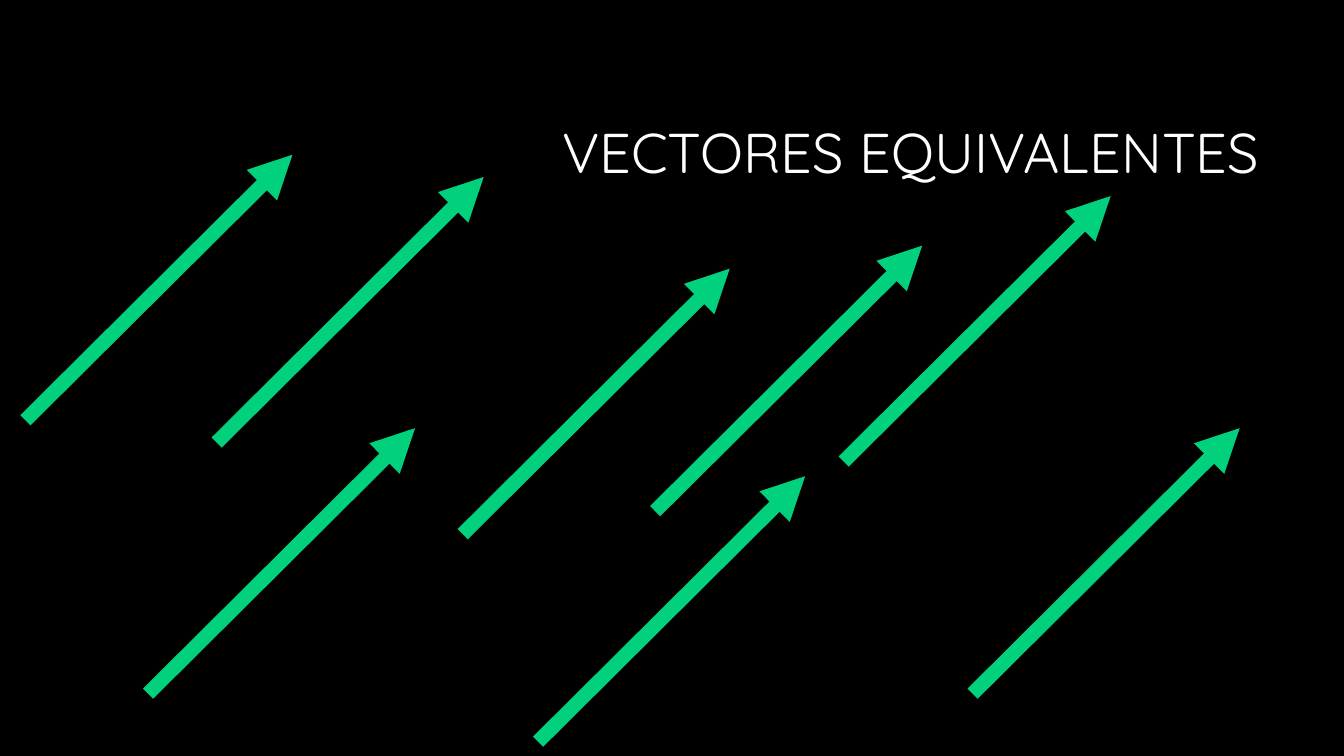
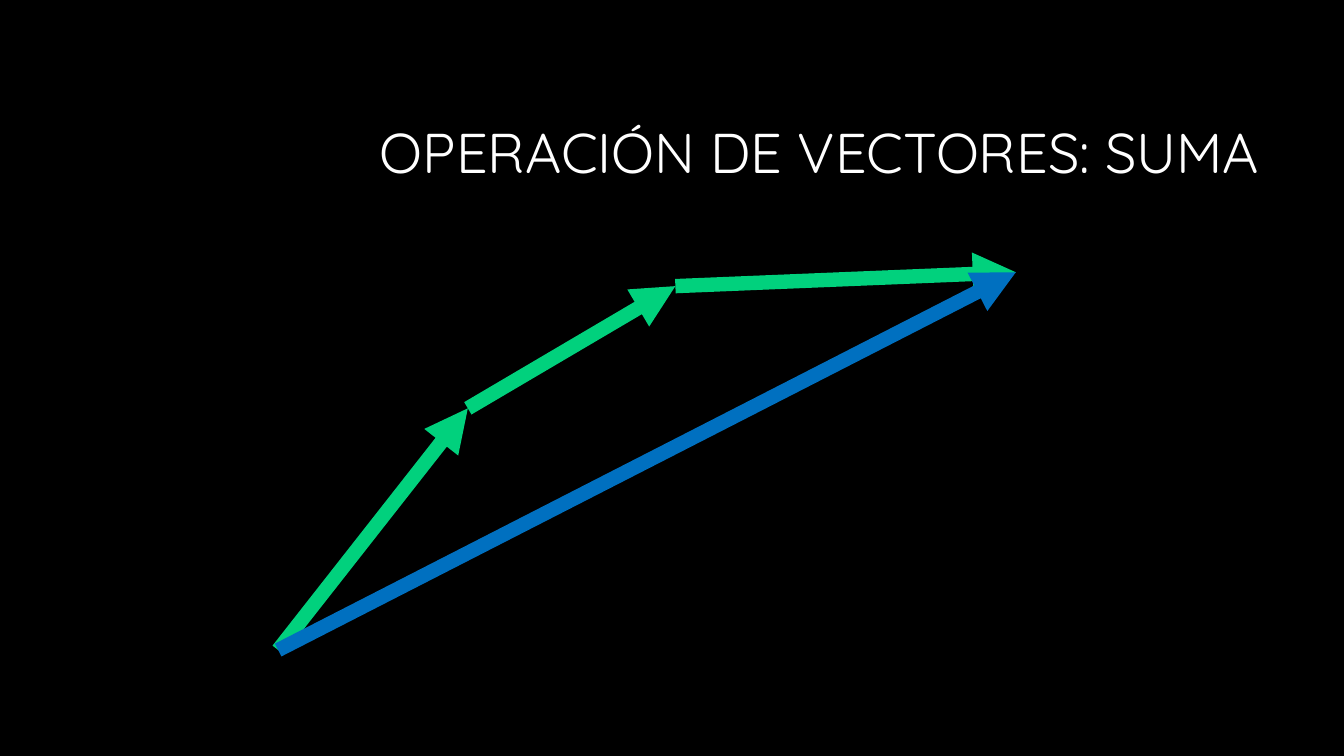
from dataclasses import dataclass
from itertools import pairwise

from lxml.etree import SubElement
from pptx import Presentation
from pptx.dml.color import RGBColor
from pptx.enum.shapes import MSO_CONNECTOR
from pptx.enum.text import MSO_ANCHOR, PP_ALIGN
from pptx.oxml.ns import qn
from pptx.util import Cm, Pt


@dataclass(frozen=True)
class Theme:
    background: RGBColor = RGBColor(0x00, 0x00, 0x00)
    text: RGBColor = RGBColor(0xFF, 0xFF, 0xFF)
    vector: RGBColor = RGBColor(0x01, 0xD1, 0x7D)
    resultant: RGBColor = RGBColor(0x00, 0x70, 0xC0)
    font: str = "Quicksand"
    title_size: Pt = Pt(40)
    line_width: Pt = Pt(10.25)


THEME = Theme()
TITLE_FORMAT = {"name": THEME.font, "size": THEME.title_size}

# All positions are (x, y) in centimetres.
PAGE_SIZE = (33.87, 19.05)
TITLE_BOX = (8.05, 2.13, 23.93, 3.58)

EQUIVALENT_TITLE = "VECTORES EQUIVALENTES"
EQUIVALENT_VECTOR = (6.73, -6.69)
EQUIVALENT_STARTS = [
    (3.73, 17.48), (5.46, 11.15), (0.64, 10.59), (13.56, 18.69),
    (21.26, 11.63), (11.66, 13.46), (24.51, 17.48), (16.51, 12.88),
]

SUM_TITLE = "OPERACIÓN DE VECTORES: SUMA"
SUM_POINTS = [(7.01, 16.38), (11.79, 10.29), (17.02, 7.21), (25.6, 6.86)]


def add_page(deck, title):
    page = deck.slides.add_slide(deck.slide_layouts[6])
    box = page.shapes.add_textbox(*map(Cm, TITLE_BOX))
    frame = box.text_frame
    frame.word_wrap = True
    frame.vertical_anchor = MSO_ANCHOR.MIDDLE
    para = frame.paragraphs[0]
    para.alignment = PP_ALIGN.RIGHT
    para.line_spacing = 0.9
    span = para.add_run()
    span.text = title
    for attribute, value in TITLE_FORMAT.items():
        setattr(span.font, attribute, value)
    span.font.color.rgb = THEME.text
    return page


def add_vector(page, start, end, color=THEME.vector):
    """Draw a shadowless arrow with its head at end."""
    arrow = page.shapes.add_connector(
        MSO_CONNECTOR.STRAIGHT, *map(Cm, (*start, *end)))
    arrow.line.width = THEME.line_width
    arrow.line.color.rgb = color
    SubElement(arrow.line._get_or_add_ln(), qn("a:tailEnd"), type="triangle")
    SubElement(arrow._element.spPr, qn("a:effectLst"))


def build_equivalent_vectors(deck):
    page = add_page(deck, EQUIVALENT_TITLE)
    dx, dy = EQUIVALENT_VECTOR
    for x, y in EQUIVALENT_STARTS:
        add_vector(page, (x, y), (x + dx, y + dy))


def build_vector_sum(deck):
    page = add_page(deck, SUM_TITLE)
    for start, end in pairwise(SUM_POINTS):
        add_vector(page, start, end)
    add_vector(page, SUM_POINTS[0], SUM_POINTS[-1], THEME.resultant)


def main():
    deck = Presentation()
    deck.slide_width, deck.slide_height = map(Cm, PAGE_SIZE)
    fill = deck.slide_master.background.fill
    fill.solid()
    fill.fore_color.rgb = THEME.background
    build_equivalent_vectors(deck)
    build_vector_sum(deck)
    deck.save("out.pptx")


if __name__ == "__main__":
    main()
